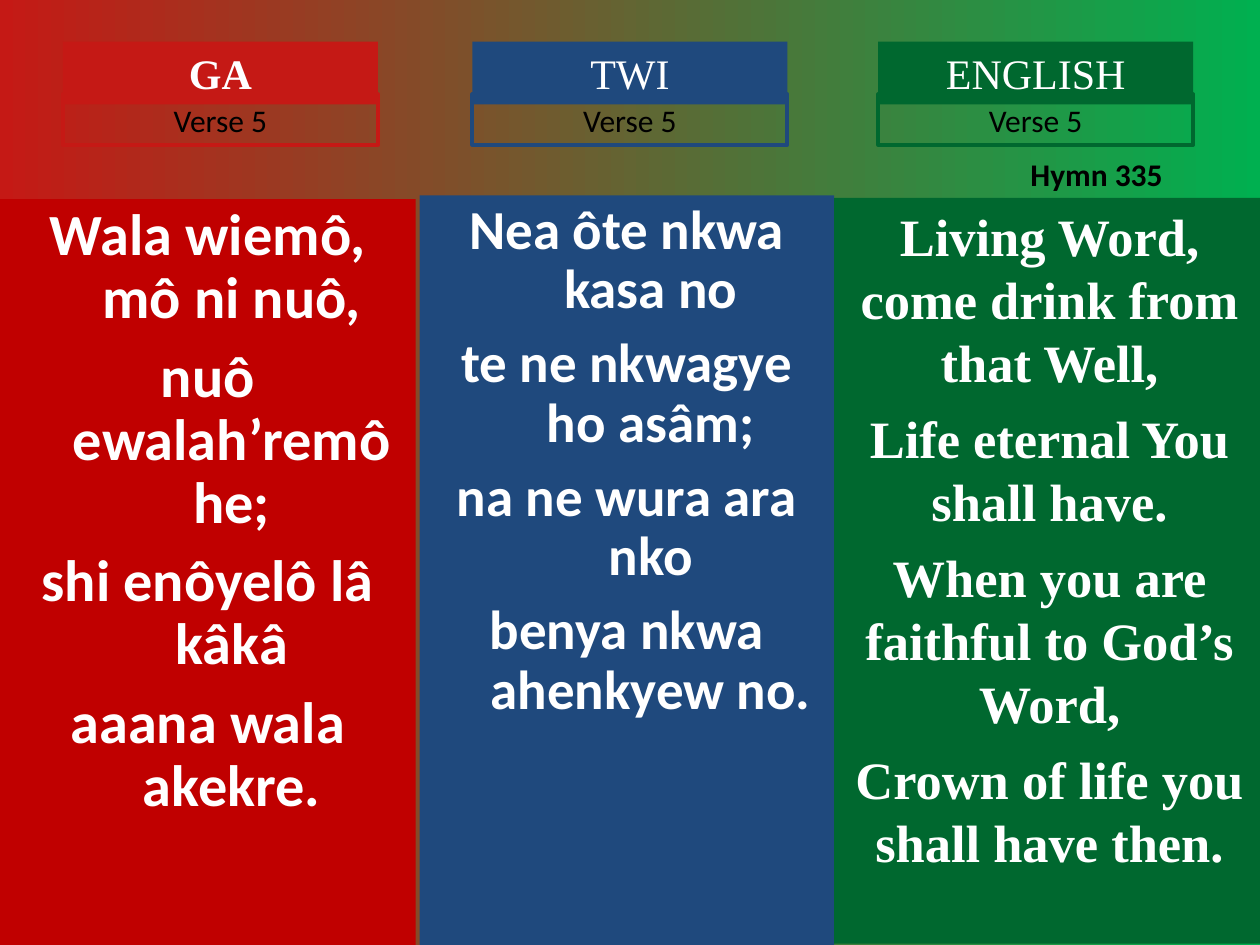
from pptx import Presentation
from pptx.dml.color import RGBColor
from pptx.enum import shapes, text
from pptx.util import Inches, Pt

RED = RGBColor(0xC5, 0x19, 0x15)
DARK_RED = RGBColor(0xC0, 0x00, 0x00)
BLUE = RGBColor(0x1F, 0x49, 0x7D)
GREEN = RGBColor(0x00, 0x68, 0x2F)
LIGHT_GREEN = RGBColor(0x00, 0xB0, 0x50)
WHITE = RGBColor(0xFF, 0xFF, 0xFF)
BLACK = RGBColor(0, 0, 0)
SANS, SERIF = "Calibri", "Times New Roman"

# Language, header left, header colour, header bold
HEADERS = [
    ("GA", 0.5, RED, True),
    ("TWI", 3.75, BLUE, False),
    ("ENGLISH", 6.97, GREEN, False),
]

# Box, fill, font, size, line spacing, space before, hanging indent, lines
VERSES = [
    ((0, 1.58, 3.3, 5.92), DARK_RED, SANS, 33.3, 0.9, 9, 0.38,
     ["Wala wiemô, mô ni nuô,", "nuô ewalah’remô he;",
      "shi enôyelô lâ kâkâ", "aaana wala akekre."]),
    ((3.33, 1.55, 3.29, 5.95), BLUE, SANS, 31.4, 0.9, 8.5, 0.38,
     ["Nea ôte nkwa kasa no", "te ne nkwagye ho asâm;",
      "na ne wura ara nko", "benya nkwa ahenkyew no."]),
    ((6.62, 1.57, 3.42, 5.92), GREEN, SERIF, 30, 1.0, 7.5, 0,
     ["Living Word, come drink from that Well,",
      "Life eternal You shall have.",
      "When you are faithful to God’s Word,",
      "Crown of life you shall have then."]),
]


def write(sp, lines, font, size, color, bold=False, align=text.PP_ALIGN.CENTER):
    tf = sp.text_frame
    tf.word_wrap = True
    tf.vertical_anchor = text.MSO_ANCHOR.TOP
    tf.text = "\n".join(lines)
    for p in tf.paragraphs:
        p.alignment = align
        for r in p.runs:
            r.font.name, r.font.size, r.font.bold = font, Pt(size), bold
            r.font.color.rgb = color
    return tf


def add_box(s, box, fill=None, line=None):
    sp = s.shapes.add_shape(shapes.MSO_SHAPE.RECTANGLE, *map(Inches, box))
    sp.shadow.inherit = False
    if fill is None:
        sp.fill.background()
    else:
        sp.fill.solid()
        sp.fill.fore_color.rgb = fill
    if line is None:
        sp.line.fill.background()
    else:
        sp.line.color.rgb = line
        sp.line.width = Pt(2.25)
    return sp


def add_verse(s, box, fill, font, size, spacing, before, hang, lines):
    tf = write(add_box(s, box, fill), lines, font, size, WHITE, True)
    for i, p in enumerate(tf.paragraphs):
        p.line_spacing = spacing
        p.space_before = Pt(before if i else 0)
        if hang:
            pPr = p._p.get_or_add_pPr()
            pPr.set("marL", str(Inches(hang)))
            pPr.set("indent", str(-Inches(hang)))


def add_header(s, language, left, color, bold):
    write(add_box(s, (left, 0.33, 2.5, 0.5), fill=color),
          [language], SERIF, 24, WHITE, bold)
    write(add_box(s, (left, 0.75, 2.5, 0.4), line=color),
          ["Verse 5"], SANS, 18, BLACK)


def set_background(s):
    fill = s.background.fill
    fill.gradient()
    fill.gradient_angle = 0
    for stop, color, position in zip(fill.gradient_stops, (RED, LIGHT_GREEN), (0, 1)):
        stop.color.rgb = color
        stop.position = position


def main():
    prs = Presentation()
    prs.slide_width, prs.slide_height = Inches(10), Inches(7.5)
    s = prs.slides.add_slide(prs.slide_layouts[6])
    set_background(s)

    # Verse panels
    for verse in VERSES:
        add_verse(s, *verse)

    # Language headers
    for header in HEADERS:
        add_header(s, *header)

    # Hymn number
    hymn = s.shapes.add_textbox(*map(Inches, (8.08, 1.18, 1.5, 0.4)))
    write(hymn, ["Hymn 335"], SANS, 18, BLACK, True, text.PP_ALIGN.LEFT)

    prs.save("out.pptx")


if __name__ == "__main__":
    main()
